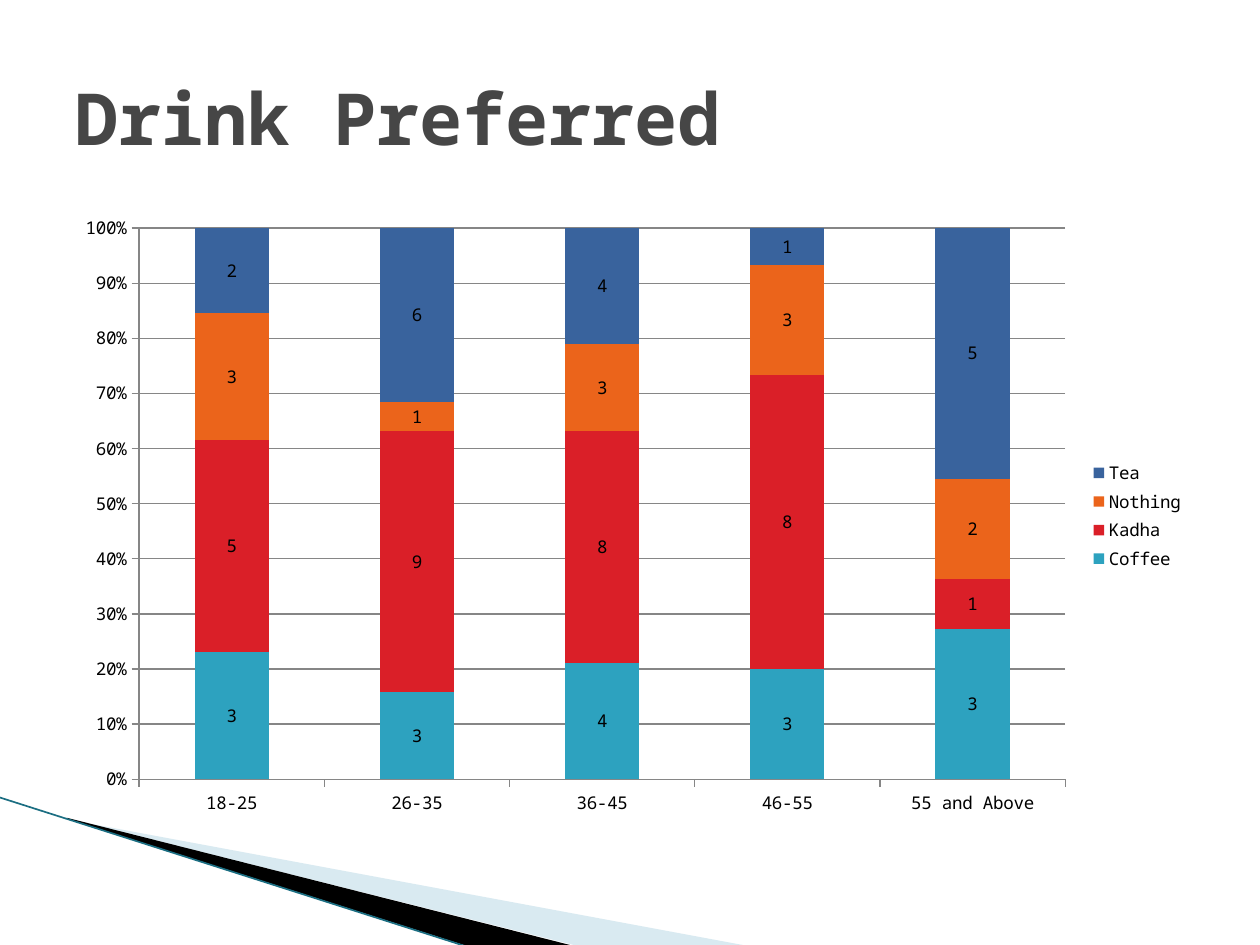
from lxml.etree import SubElement
from pptx import Presentation
from pptx.chart.data import CategoryChartData
from pptx.dml.color import RGBColor
from pptx.enum.chart import XL_CHART_TYPE, XL_LEGEND_POSITION, XL_TICK_MARK
from pptx.enum.shapes import MSO_CONNECTOR
from pptx.enum.text import MSO_ANCHOR
from pptx.oxml.ns import qn
from pptx.util import Pt

# Content
TITLE = "Drink Preferred"
AGES = ["18-25", "26-35", "36-45", "46-55", "55 and Above"]
DRINKS = [
    ("Coffee", [3, 3, 4, 3, 3]),
    ("Kadha", [5, 9, 8, 8, 1]),
    ("Nothing", [3, 1, 3, 3, 2]),
    ("Tea", [2, 6, 4, 1, 5]),
]
FONT = "Noto Sans Mono"
COLORS = {
    "Coffee": "2DA2BF", "Kadha": "DA1F28", "Nothing": "EB641B", "Tea": "39639D",
    "title": "464646", "text": "000000", "grid": "868686",
    "pale": "A0CBDC", "dark": "000000", "edge": "1B6E82",
}
# Corner wedges: color, opacity in percent, frame, outline (which leaves the frame)
WEDGES = [
    ("pale", 40, (56.2, 393.8, 299.5, 113.8),
     [(39.6, 468.5), (424.5, 540), (328, 540), (39.6, 468)]),
    ("dark", 100, (-4.3, 455.8, 299.5, 66.2),
     [(38.2, 467.3), (325.7, 540), (265, 540), (38.9, 468)]),
]


def color(name):
    return RGBColor.from_string(COLORS[name])


def apply(target, values):
    for name, value in values.items():
        setattr(target, name, value)


def style_font(font, size, name, bold=False):
    apply(font, {"name": FONT, "size": Pt(size), "bold": bold})
    font.color.rgb = color(name)


def set_frame(shape, frame):
    """Give a freeform another frame while its outline stays in place."""
    left, top, width, height = map(Pt, frame)
    shift = {"x": shape.left - left, "y": shape.top - top}
    for point in shape._element.iter(qn("a:pt")):
        for axis, distance in shift.items():
            point.set(axis, str(int(point.get(axis)) + distance))
    for outline in shape._element.iter(qn("a:path")):
        outline.set("w", str(width))
        outline.set("h", str(height))
    apply(shape, {"left": left, "top": top, "width": width, "height": height})


deck = Presentation()
apply(deck, {"slide_width": Pt(720), "slide_height": Pt(540)})
page = deck.slides.add_slide(deck.slide_layouts[6])

# Corner decoration
for name, opacity, frame, points in WEDGES:
    start, *rest = [(Pt(x), Pt(y)) for x, y in points]
    builder = page.shapes.build_freeform(*start)
    builder.add_line_segments(rest, close=True)
    wedge = builder.convert_to_shape()
    set_frame(wedge, frame)
    wedge.shadow.inherit = False
    wedge.fill.solid()
    wedge.fill.fore_color.rgb = color(name)
    wedge.line.fill.background()
    if opacity < 100:
        fill_color = wedge.fill._xPr.find(qn("a:solidFill"))[0]
        SubElement(fill_color, qn("a:alpha"), val=str(opacity * 1000))

edge = page.shapes.add_connector(
    MSO_CONNECTOR.STRAIGHT, Pt(-0.5), Pt(455.6), Pt(267), Pt(541))
edge.line.color.rgb = color("edge")
edge.line.width = Pt(0.95)
SubElement(edge._element.spPr, qn("a:effectLst"))

# Chart
data = CategoryChartData()
data.categories = AGES
for drink, counts in DRINKS:
    data.add_series(drink, counts)
chart = page.shapes.add_chart(
    XL_CHART_TYPE.COLUMN_STACKED_100, Pt(36), Pt(116.5), Pt(648), Pt(356.5), data).chart
apply(chart, {"has_title": False, "has_legend": True})
style_font(chart.font, 10, "text")
apply(chart.legend, {"position": XL_LEGEND_POSITION.RIGHT, "include_in_layout": False})

plot = chart.plots[0]
apply(plot, {"gap_width": 150, "overlap": 100, "vary_by_categories": False})
for series in plot.series:
    series.format.fill.solid()
    series.format.fill.fore_color.rgb = color(series.name)
    series.data_labels.show_value = True
    style_font(series.data_labels.font, 10, "text")

# Axes
values = chart.value_axis
apply(values, {"has_major_gridlines": True, "minimum_scale": 0,
               "maximum_scale": 1, "major_unit": 0.1})
apply(values.tick_labels, {"number_format": "0%", "number_format_is_linked": False})
for axis in (chart.category_axis, values):
    axis.major_tick_mark = XL_TICK_MARK.OUTSIDE
for part in (chart.category_axis, values, values.major_gridlines):
    part.format.line.color.rgb = color("grid")
    part.format.line.width = Pt(0.75)

# Title
box = page.shapes.add_textbox(Pt(36), Pt(21.6), Pt(648), Pt(90))
apply(box.text_frame, {"word_wrap": True, "vertical_anchor": MSO_ANCHOR.MIDDLE})
para = box.text_frame.paragraphs[0]
span = para.add_run()
span.text = TITLE
style_font(span.font, 41, "title", bold=True)

deck.save("out.pptx")
